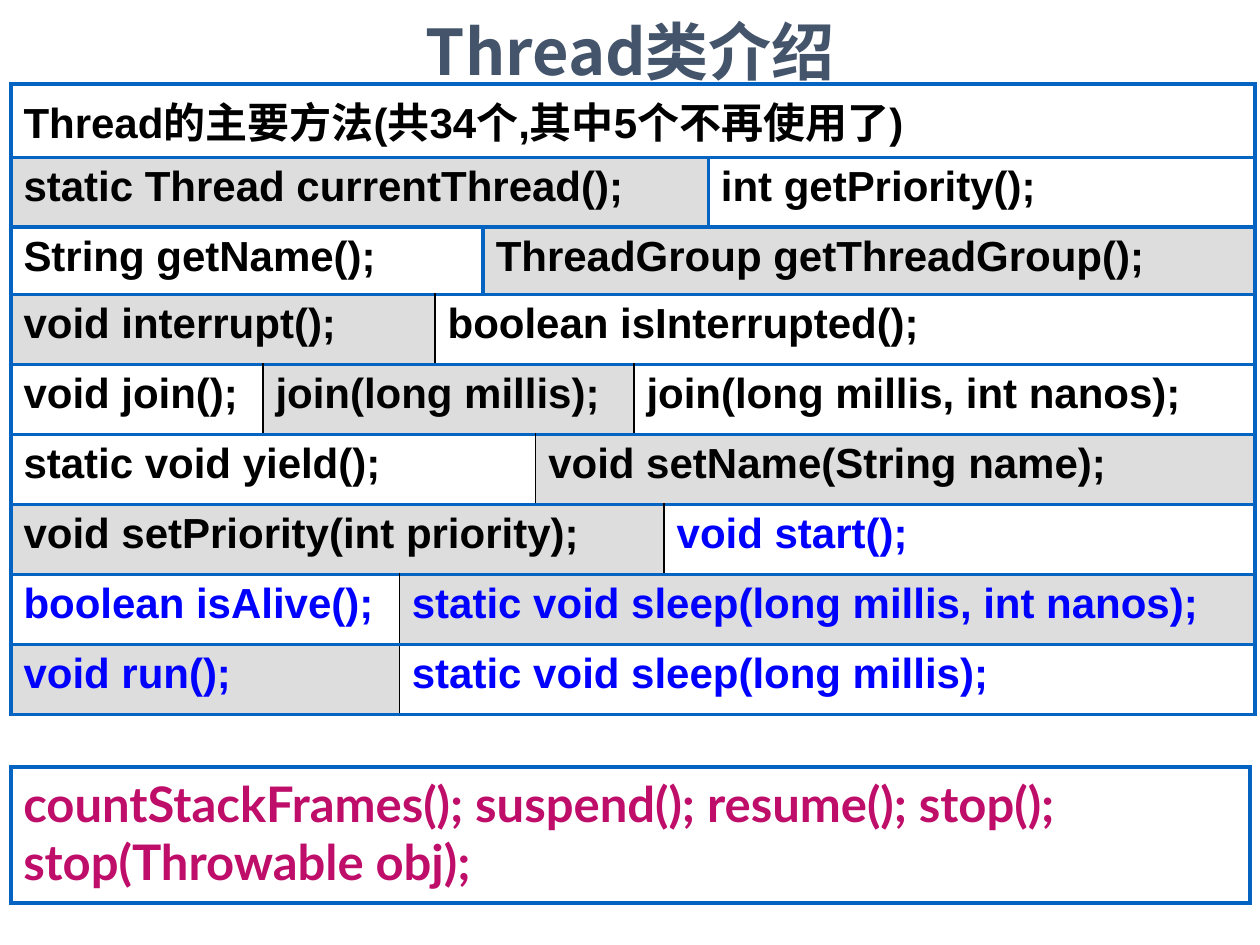
from lxml.etree import SubElement
from dataclasses import dataclass
from pptx import Presentation
from pptx.dml.color import RGBColor
from pptx.enum.shapes import MSO_SHAPE
from pptx.enum.text import MSO_ANCHOR, PP_ALIGN
from pptx.oxml.ns import qn
from pptx.util import Cm, Pt


@dataclass(frozen=True)
class Theme:
    title: str = "44546A"
    ink: str = "000000"
    highlight: str = "0000FF"
    retired: str = "BF0D6A"
    border: str = "0563C1"
    shade: str = "DDDDDD"
    title_font: str = "Noto Sans CJK SC"
    table_font: str = "Arial"
    retired_font: str = "Lato"
    title_size: float = 36
    table_size: float = 24
    retired_size: float = 28
    thick: float = 2.25
    thin: float = 1


def write_text(frame, text, *, font, size, color, align=PP_ALIGN.LEFT,
               anchor=MSO_ANCHOR.TOP, before=0):
    frame.word_wrap = True
    frame.vertical_anchor = anchor
    para = frame.paragraphs[0]
    para.alignment = align
    para.space_before = Pt(before)
    span = para.add_run()
    span.text = text
    span.font.name = font
    span.font.size = Pt(size)
    span.font.bold = True
    span.font.color.rgb = RGBColor.from_string(color)
    SubElement(span.font._element, qn("a:ea"), typeface="Noto Sans CJK SC")


class SlideBuilder:
    def __init__(self, slide, theme):
        self.slide = slide
        self.theme = theme

    def title(self, text, left, top, width, height):
        box = self.slide.shapes.add_textbox(Cm(left), Cm(top), Cm(width), Cm(height))
        box.text_frame.margin_top = box.text_frame.margin_bottom = 0
        write_text(box.text_frame, text, font=self.theme.title_font,
                   size=self.theme.title_size, color=self.theme.title,
                   align=PP_ALIGN.CENTER, anchor=MSO_ANCHOR.BOTTOM)

    def framed_note(self, text, left, top, width, height):
        box = self.slide.shapes.add_shape(
            MSO_SHAPE.RECTANGLE, Cm(left), Cm(top), Cm(width), Cm(height))
        box.shadow.inherit = False
        box.fill.background()
        box.line.color.rgb = RGBColor.from_string(self.theme.border)
        box.line.width = Pt(self.theme.thick)
        SubElement(box.line._get_or_add_ln(), qn("a:miter"), lim="800000")
        write_text(box.text_frame, text, font=self.theme.retired_font,
                   size=self.theme.retired_size, color=self.theme.retired,
                   before=self.theme.retired_size / 5)

    def cell_style(self, cell, shaded, thin_left, thin_right):
        properties = cell._tc.get_or_add_tcPr()
        for side, is_thin in (("L", thin_left), ("R", thin_right),
                              ("T", False), ("B", False)):
            width = self.theme.thin if is_thin else self.theme.thick
            color = self.theme.ink if is_thin else self.theme.border
            line = SubElement(properties, qn(f"a:ln{side}"), w=str(int(Pt(width))))
            fill = SubElement(line, qn("a:solidFill"))
            SubElement(fill, qn("a:srgbClr"), val=color)
        if shaded:
            cell.fill.solid()
            cell.fill.fore_color.rgb = RGBColor.from_string(self.theme.shade)
        else:
            cell.fill.background()

    def method_table(self, rows, left, top, widths, heights, thin_from):
        table = self.slide.shapes.add_table(
            len(heights), len(widths), Cm(left), Cm(top),
            Cm(sum(widths)), Cm(sum(heights))).table
        table.first_row = table.horz_banding = False
        for column, width in zip(table.columns, widths):
            column.width = Cm(width)
        for row, height in zip(table.rows, heights):
            row.height = Cm(height)

        for row_index, entries in enumerate(rows):
            # Each entry reaches to the start of the next one
            stops = [entry[0] for entry in entries[1:]] + [len(widths)]
            for (start, text, shaded, color), stop in zip(entries, stops):
                thin = row_index >= thin_from
                for column_index in range(start, stop):
                    self.cell_style(table.cell(row_index, column_index), shaded,
                                    thin and start > 0, thin and stop < len(widths))
                cell = table.cell(row_index, start)
                if stop - start > 1:
                    cell.merge(table.cell(row_index, stop - 1))
                write_text(cell.text_frame, text, font=self.theme.table_font,
                           size=self.theme.table_size, color=color,
                           before=self.theme.table_size / 5)


def main():
    theme = Theme()
    ink, blue = theme.ink, theme.highlight
    deck = Presentation()
    deck.slide_width, deck.slide_height = Cm(25.4), Cm(19.05)
    builder = SlideBuilder(deck.slides.add_slide(deck.slide_layouts[6]), theme)

    # Title
    left, width = 0.22, 24.98
    builder.title("Thread类介绍", left, 0.31, width, 1.47)

    # Methods: first column, text, shaded, text colour
    rows = [
        [(0, "Thread的主要方法(共34个,其中5个不再使用了)", False, ink)],
        [(0, "static Thread currentThread();", True, ink),
         (8, "int getPriority();", False, ink)],
        [(0, "String getName();", False, ink),
         (4, "ThreadGroup getThreadGroup();", True, ink)],
        [(0, "void interrupt();", True, ink),
         (3, "boolean isInterrupted();", False, ink)],
        [(0, "void join();", False, ink),
         (1, "join(long millis);", True, ink),
         (6, "join(long millis, int nanos);", False, ink)],
        [(0, "static void yield();", False, ink),
         (5, "void setName(String name);", True, ink)],
        [(0, "void setPriority(int priority);", True, ink),
         (7, "void start();", False, blue)],
        [(0, "boolean isAlive();", False, blue),
         (2, "static void sleep(long millis, int nanos);", True, blue)],
        [(0, "void run();", True, blue),
         (2, "static void sleep(long millis);", False, blue)],
    ]
    widths = [5.08, 2.75, 0.72, 0.97, 1.06, 1.98, 0.51, 0.89, 11.02]
    heights = [1.48, 1.41, 1.36] + [1.41] * 6
    builder.method_table(rows, left, 1.69, widths, heights, thin_from=3)

    # Methods no longer in use
    builder.framed_note(
        "countStackFrames(); suspend(); resume(); stop(); stop(Throwable obj);",
        left, 15.46, width, 2.75)

    deck.save("out.pptx")


if __name__ == "__main__":
    main()
